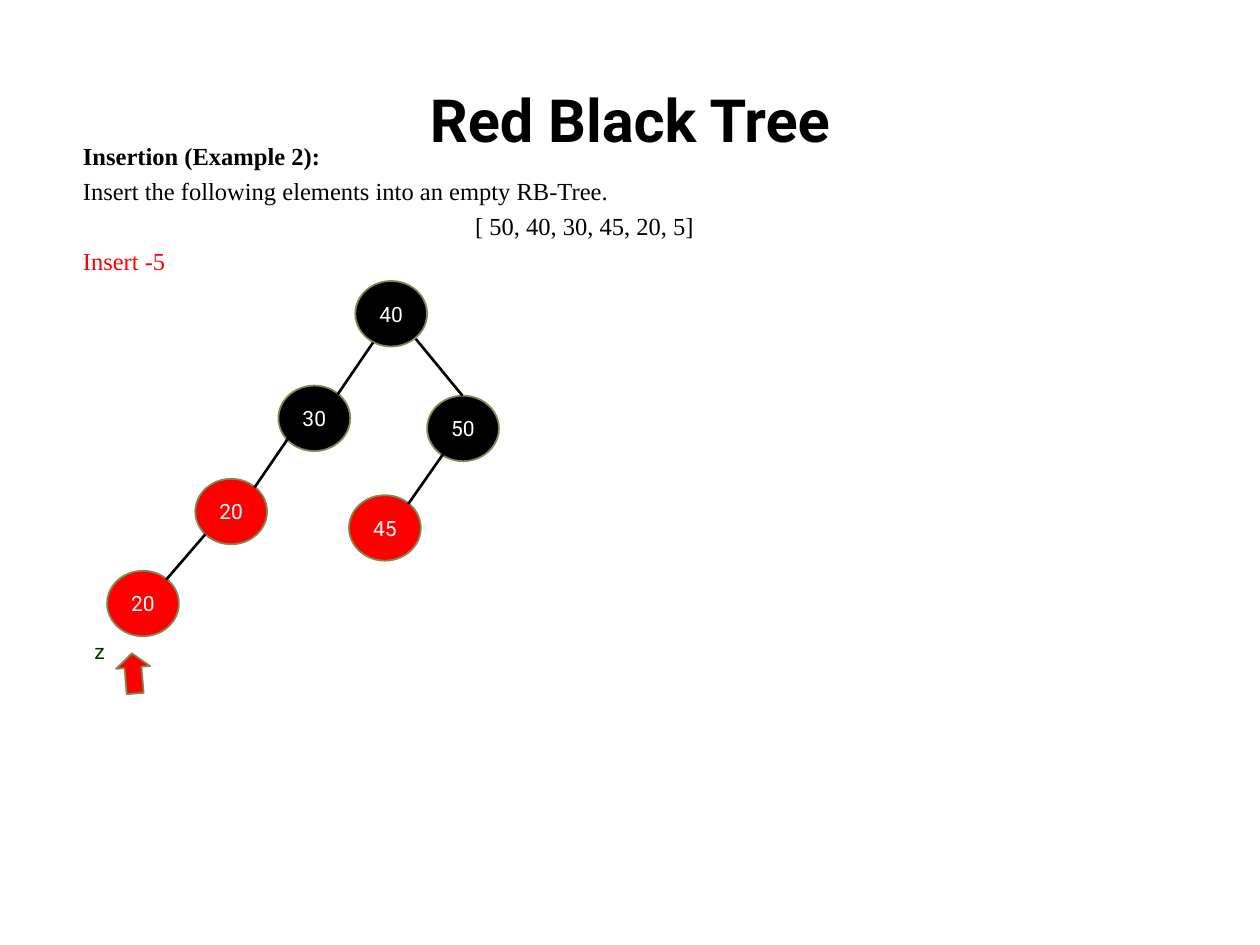
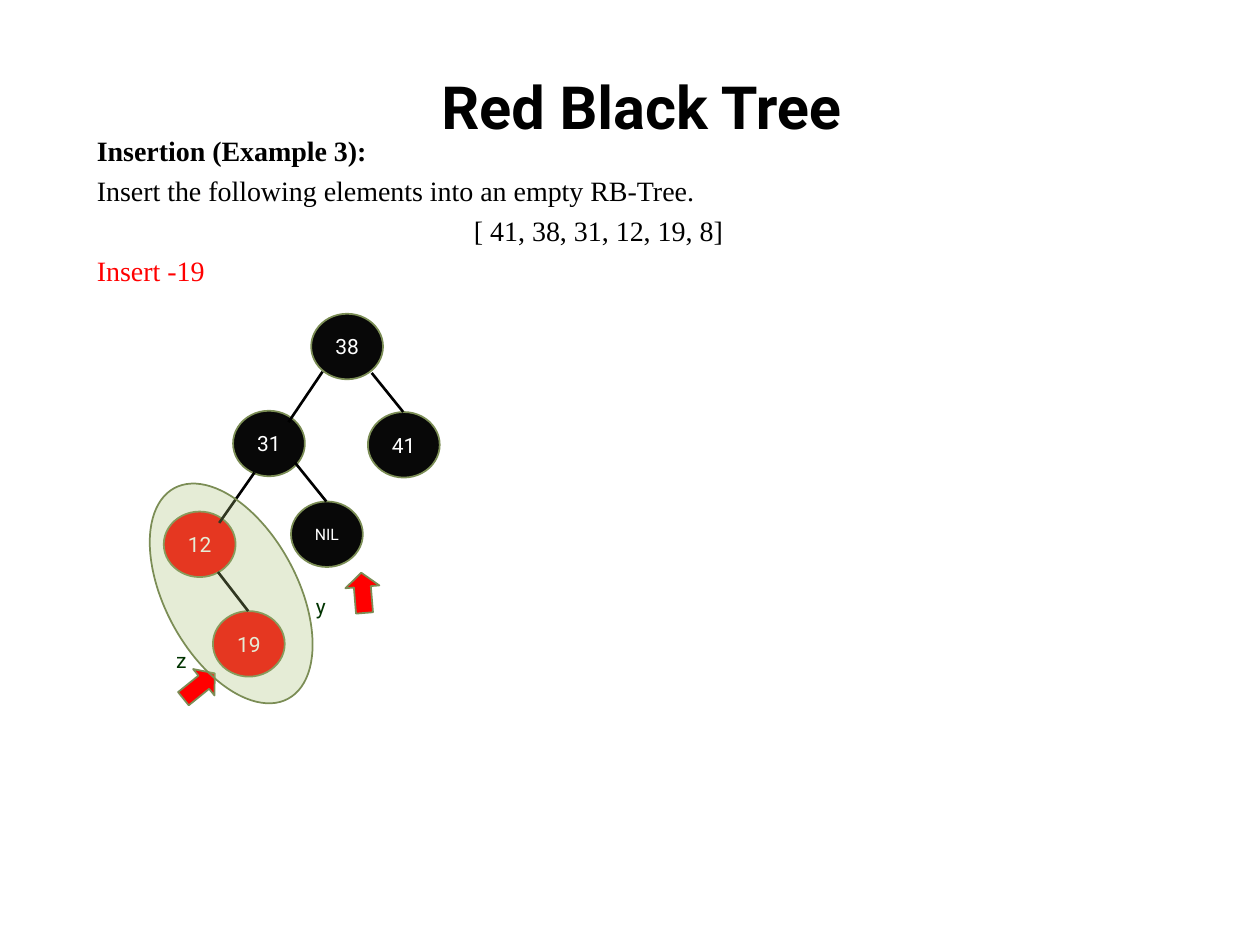
from dataclasses import dataclass
from typing import Optional

from lxml import etree
from pptx import Presentation
from pptx import util as u
from pptx.dml.color import RGBColor
from pptx.enum import shapes, text
from pptx.oxml import ns

# Shared look: 100 px to the inch
PX = 9144
BLACK = RGBColor(0x00, 0x00, 0x00)
SOFT_BLACK = RGBColor(0x08, 0x08, 0x08)
RED = RGBColor(0xFF, 0x00, 0x00)
WHITE = RGBColor(0xFF, 0xFF, 0xFF)
OLIVE = RGBColor(0x7B, 0x8D, 0x55)
SAGE = RGBColor(0xA6, 0xBF, 0x73)
DARK_GREEN = RGBColor(0x00, 0x33, 0x00)
SANS, SERIF = "Roboto", "Times New Roman"
NODE_W, NODE_H = 57, 52
RIGHT_LANDING = (28, 0)
ALIGN = text.PP_ALIGN


@dataclass(frozen=True)
class Node:
    label: str
    x: int
    y: int
    fill: RGBColor
    parent: Optional[int] = None  # index in the tree
    leave: tuple[int, int] = (0, 0)  # edge start, from the parent's corner
    size: int = 12


@dataclass(frozen=True)
class Pointer:
    label: str
    label_x: int
    label_y: int
    x: int
    y: int
    angle: float


@dataclass(frozen=True)
class Highlight:
    x: int
    y: int
    w: int
    h: int
    angle: float
    opacity: int


@dataclass(frozen=True)
class Example:
    number: int
    elements: str
    inserted: int
    title_at: tuple[int, int]
    body_at: tuple[int, int, int, int]
    body_size: int
    left_landing: tuple[int, int]
    tree: list[Node]
    pointers: list[Pointer]
    highlight: Optional[Highlight] = None


EXAMPLES = [
    Example(
        2, "[ 50, 40, 30, 45, 20, 5]", 5, (50, 55), (56, 105, 816, 121), 14, (47, 7),
        [
            Node("40", 282, 223, BLACK),
            Node("50", 339, 314, BLACK, 0, (48, 46)),
            Node("30", 221, 306, BLACK, 0, (14, 49)),
            Node("45", 277, 393, RED, 1, (13, 46)),
            Node("20", 155, 380, RED, 2, (9, 40)),
            Node("20", 85, 453, RED, 4, (8, 44)),
        ],
        [Pointer("z", 65, 502, 90, 521, 265.3)],
    ),
    Example(
        3, "[ 41, 38, 31, 12, 19, 8]", 19, (59, 44), (67, 99, 816, 134), 16, (44, 9),
        [
            Node("38", 247, 249, SOFT_BLACK),
            Node("31", 185, 326, SOFT_BLACK, 0, (9, 46)),
            Node("41", 292, 327, SOFT_BLACK, 0, (48, 47)),
            Node("12", 130, 406, RED, 1, (17, 49)),
            Node("19", 169, 485, RED, 3, (43, 48)),
            Node("NIL", 231, 398, SOFT_BLACK, 1, (49, 41), 9),
        ],
        [Pointer("z", 130, 509, 142, 531, 321), Pointer("y", 241, 466, 272, 457, 265.3)],
        Highlight(131, 376, 105, 190, 331.6, 29),
    ),
]


def px(*lengths: int) -> list[u.Emu]:
    return [u.Emu(length * PX) for length in lengths]


def add_run(paragraph, words: str, font: str, size: int, color: RGBColor,
            bold: bool = False) -> None:
    run = paragraph.add_run()
    run.text = words
    run.font.name, run.font.size, run.font.bold = font, u.Pt(size), bold
    run.font.color.rgb = color


def add_outlined(slide, kind, box: tuple[int, int, int, int], fill: RGBColor):
    shape = slide.shapes.add_shape(kind, *px(*box))
    shape.shadow.inherit = False
    shape.fill.solid()
    shape.fill.fore_color.rgb = fill
    shape.line.color.rgb = OLIVE
    shape.line.width = u.Pt(1)
    return shape


def add_title(slide, at: tuple[int, int]) -> None:
    frame = slide.shapes.add_textbox(*px(*at, 900, 79)).text_frame
    frame.word_wrap = True
    frame.vertical_anchor = text.MSO_ANCHOR.MIDDLE
    paragraph = frame.paragraphs[0]
    paragraph.alignment = ALIGN.CENTER
    add_run(paragraph, "Red Black Tree", SANS, 34, BLACK, True)


def add_task(slide, example: Example) -> None:
    frame = slide.shapes.add_textbox(*px(*example.body_at)).text_frame
    frame.word_wrap = True
    frame.margin_top = px(7)[0]
    lines = [
        (f"Insertion (Example {example.number}):", ALIGN.JUSTIFY, BLACK, True),
        ("Insert the following elements into an empty RB-Tree.", ALIGN.JUSTIFY, BLACK, False),
        (example.elements, ALIGN.CENTER, BLACK, False),
        (f"Insert -{example.inserted}", ALIGN.LEFT, RED, False),
    ]
    for index, (words, alignment, color, bold) in enumerate(lines):
        paragraph = frame.add_paragraph() if index else frame.paragraphs[0]
        paragraph.alignment = alignment
        if index:
            paragraph.space_before = u.Pt(round(example.body_size * 0.23, 1))
        add_run(paragraph, words, SERIF, example.body_size, color, bold)


def add_node(slide, node: Node) -> None:
    circle = add_outlined(slide, shapes.MSO_SHAPE.OVAL,
                          (node.x, node.y, NODE_W, NODE_H), node.fill)
    frame = circle.text_frame
    frame.word_wrap = False
    frame.vertical_anchor = text.MSO_ANCHOR.MIDDLE
    frame.paragraphs[0].alignment = ALIGN.CENTER
    add_run(frame.paragraphs[0], node.label, SANS, node.size, WHITE)


def add_edge(slide, parent: Node, child: Node, left_landing: tuple[int, int]) -> None:
    dx, dy = left_landing if child.x < parent.x else RIGHT_LANDING
    edge = slide.shapes.add_connector(
        shapes.MSO_CONNECTOR.STRAIGHT,
        *px(parent.x + child.leave[0], parent.y + child.leave[1], child.x + dx, child.y + dy))
    edge.line.color.rgb = BLACK
    edge.line.width = u.Pt(1.5)
    etree.SubElement(edge._element.spPr, ns.qn("a:effectLst"))


def add_pointer(slide, pointer: Pointer) -> None:
    arrow = add_outlined(slide, shapes.MSO_SHAPE.RIGHT_ARROW,
                         (pointer.x, pointer.y, 32, 27), RED)
    arrow.adjustments[0], arrow.adjustments[1] = 0.5, 0.415
    arrow.rotation = pointer.angle
    frame = slide.shapes.add_textbox(*px(pointer.label_x, pointer.label_y, 27, 30)).text_frame
    frame.word_wrap = False
    add_run(frame.paragraphs[0], pointer.label, SANS, 12, DARK_GREEN)


def add_highlight(slide, mark: Highlight) -> None:
    oval = add_outlined(slide, shapes.MSO_SHAPE.OVAL, (mark.x, mark.y, mark.w, mark.h), SAGE)
    oval.rotation = mark.angle
    color = oval._element.spPr.find(ns.qn("a:solidFill"))[0]
    etree.SubElement(color, ns.qn("a:alpha"), val=str(mark.opacity * 1000))


def build_example(deck, example: Example) -> None:
    slide = deck.slides.add_slide(deck.slide_layouts[6])
    add_title(slide, example.title_at)
    add_task(slide, example)
    # Tree: nodes first, edges over them
    for node in example.tree:
        add_node(slide, node)
    for node in example.tree:
        if node.parent is not None:
            add_edge(slide, example.tree[node.parent], node, example.left_landing)
    for pointer in example.pointers:
        add_pointer(slide, pointer)
    if example.highlight:
        add_highlight(slide, example.highlight)


def main() -> None:
    deck = Presentation()
    deck.slide_width, deck.slide_height = px(1000, 750)
    for example in EXAMPLES:
        build_example(deck, example)
    deck.save("out.pptx")


if __name__ == "__main__":
    main()
